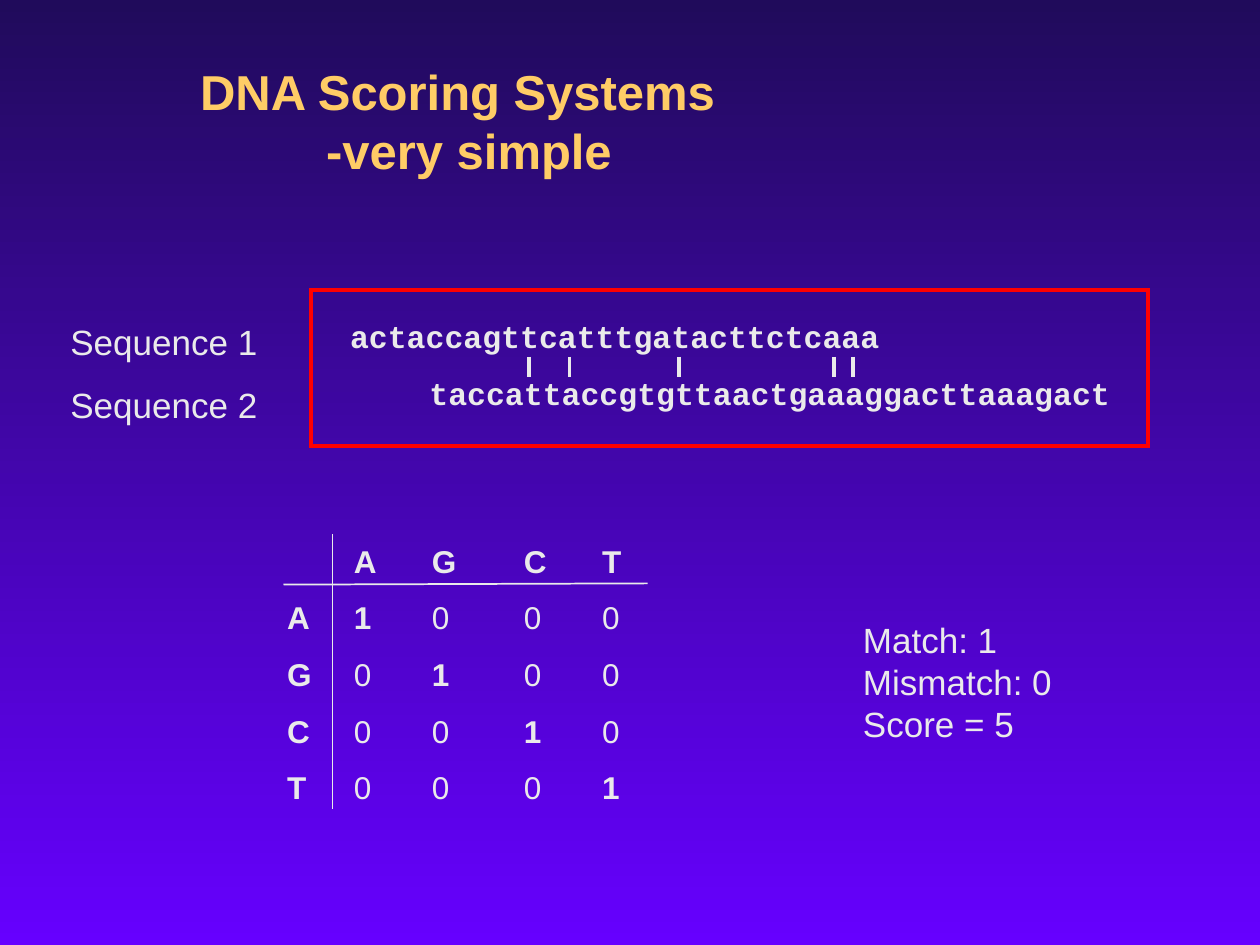
"""Build the slide on a simple DNA scoring system."""
from lxml.etree import SubElement
from pptx import Presentation
from pptx.dml.color import RGBColor
from pptx.enum.shapes import MSO_CONNECTOR, MSO_SHAPE
from pptx.enum.text import MSO_ANCHOR, MSO_AUTO_SIZE
from pptx.oxml.ns import qn
from pptx.util import Inches, Pt

NAVY = RGBColor(0x20, 0x0B, 0x5B)
VIOLET = RGBColor(0x66, 0x00, 0xFF)
GOLD = RGBColor(0xFF, 0xCC, 0x66)
PALE = RGBColor(0xEA, 0xEA, 0xEA)
RED = RGBColor(0xFF, 0x00, 0x00)
BASES = "AGCT"


class SlideBuilder:
    def __init__(self, s):
        self.s = s
        self.font = "Arial"
        self.mono = "Courier New"

    def background(self, top, bottom):
        fill = self.s.background.fill
        fill.gradient()
        fill.gradient_angle = 270
        for stop, color in zip(fill.gradient_stops, (top, bottom)):
            stop.color.rgb = color

    def text(self, box, lines, size, color=PALE, font=None, bold=None,
             spacing=None, tabs=(), wrap=False, anchor=MSO_ANCHOR.TOP):
        tf = self.s.shapes.add_textbox(*map(Inches, box)).text_frame
        tf.word_wrap = wrap
        tf.auto_size = MSO_AUTO_SIZE.NONE if wrap else MSO_AUTO_SIZE.SHAPE_TO_FIT_TEXT
        tf.vertical_anchor = anchor
        for i, runs in enumerate(lines):
            p = tf.add_paragraph() if i else tf.paragraphs[0]
            if tabs:
                tab_list = SubElement(p._p.get_or_add_pPr(), qn("a:tabLst"))
                for tab in tabs:
                    SubElement(tab_list, qn("a:tab"), pos=str(Inches(tab)), algn="l")
            if spacing:
                p.line_spacing = spacing
            p.font.name = font or self.font
            p.font.size = Pt(size)
            p.font.color.rgb = color
            p.font.bold = bold
            for content, strong in [(runs, None)] if isinstance(runs, str) else runs:
                r = p.add_run()
                r.text = content
                r.font.bold = strong

    def sequence(self, box, letters):
        self.text(box, [letters], 18, font=self.mono, bold=True)

    def line(self, x1, y1, x2, y2, width):
        c = self.s.shapes.add_connector(
            MSO_CONNECTOR.STRAIGHT, *map(Inches, (x1, y1, x2, y2)))
        c.line.color.rgb = PALE
        c.line.width = Pt(width)
        SubElement(c._element.spPr, qn("a:effectLst"))

    def frame(self, box, color, width):
        sp = self.s.shapes.add_shape(MSO_SHAPE.RECTANGLE, *map(Inches, box))
        sp.shadow.inherit = False
        sp.fill.background()
        sp.line.color.rgb = color
        sp.line.width = Pt(width)
        SubElement(sp.line._get_or_add_ln(), qn("a:miter"), lim="800000")


def identity_rows():
    rows = [[("\t" + "\t".join(BASES), True)]]
    for base in BASES:
        cells = [("\t1" if base == other else "\t0", base == other) for other in BASES]
        rows.append([(base, True)] + cells)
    return rows


def main():
    prs = Presentation()
    prs.slide_width, prs.slide_height = Inches(10), Inches(7.5)
    b = SlideBuilder(prs.slides.add_slide(prs.slide_layouts[6]))
    b.background(NAVY, VIOLET)
    b.text((1.49, 0.33, 7, 1.25), ["DNA Scoring Systems", "\t-very simple"], 28,
           GOLD, bold=True, tabs=range(8), wrap=True, anchor=MSO_ANCHOR.MIDDLE)

    b.sequence((2.68, 2.47, 4.4, 0.4), "actaccagttcatttgatacttctcaaa")
    b.sequence((3.31, 2.92, 5.6, 0.4), "taccattaccgtgttaactgaaaggacttaaagact")
    for x in (4.2, 4.52, 5.39, 6.62, 6.77):
        b.line(x, 2.83, x, 2.99, 2.25)
    b.frame((2.47, 2.3, 6.64, 1.24), RED, 2)
    b.text((0.46, 2.33, 1.75, 1.1), ["Sequence 1", "Sequence 2"], 20, spacing=1.5)

    b.text((2.18, 4.1, 2.85, 2.8), identity_rows(), 18, spacing=1.5,
           tabs=(0, 0.53, 1.15, 1.88, 2.5))
    b.line(2.25, 4.64, 5.14, 4.63, 1)
    b.line(2.64, 4.24, 2.64, 6.42, 1)
    b.text((6.75, 4.86, 1.75, 1.1), ["Match: 1", "Mismatch: 0", "Score = 5"], 20)
    prs.save("out.pptx")


if __name__ == "__main__":
    main()
